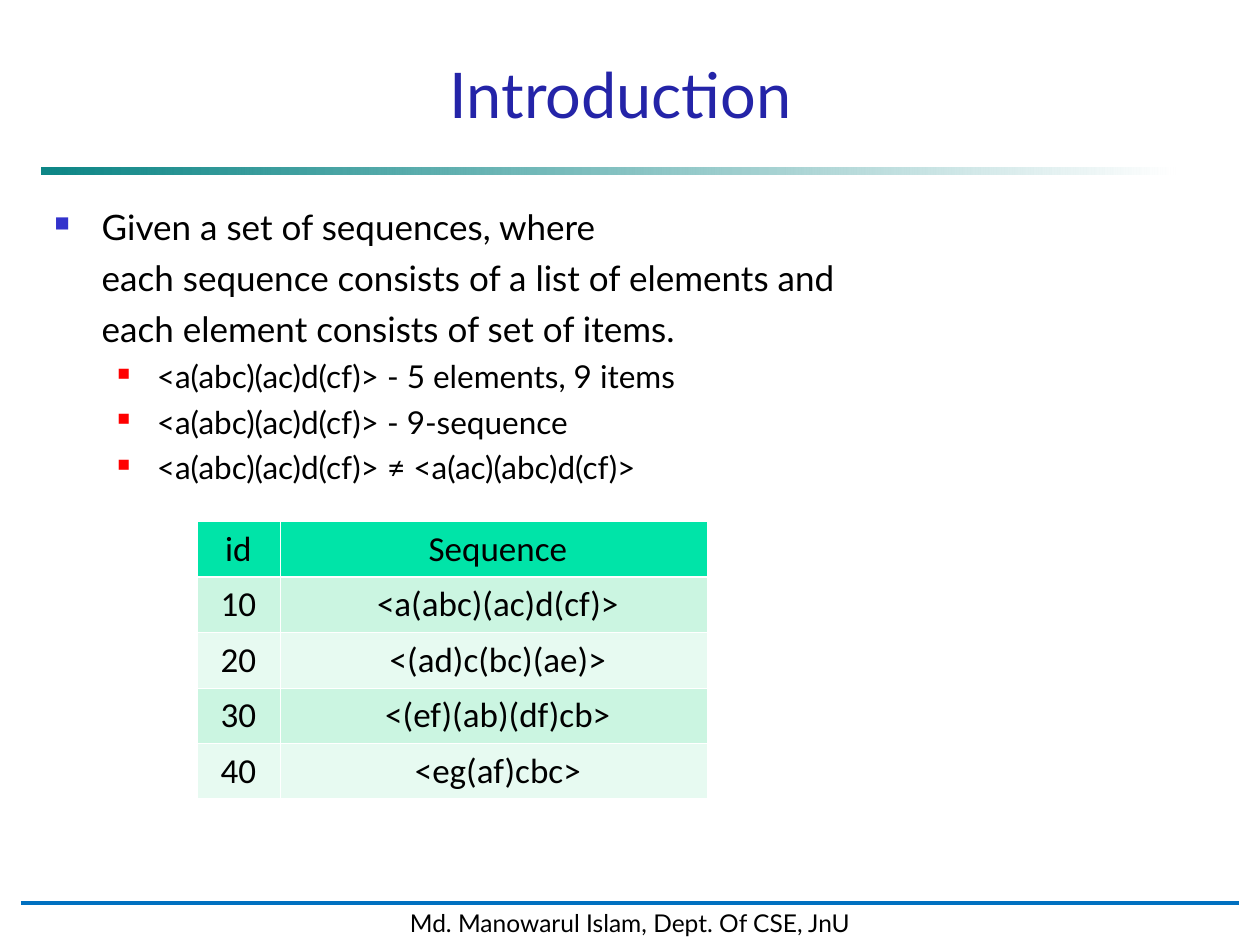
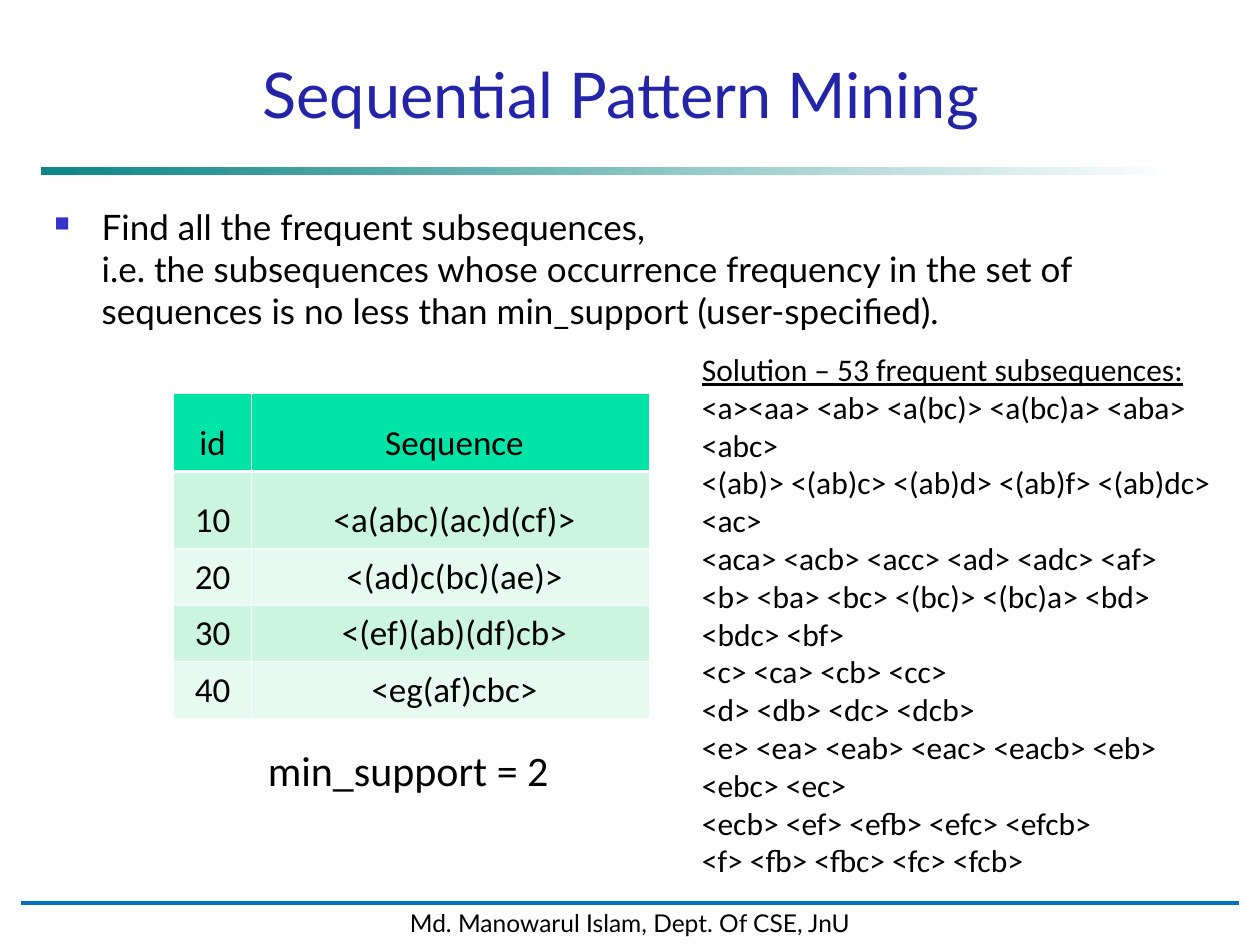
from lxml import etree
from pptx import Presentation
from pptx.dml.color import RGBColor
from pptx.enum.shapes import MSO_CONNECTOR, MSO_SHAPE
from pptx.enum.text import MSO_ANCHOR, PP_ALIGN
from pptx.oxml.ns import qn
from pptx.util import Pt

RECTANGLE = MSO_SHAPE.RECTANGLE
STRAIGHT = MSO_CONNECTOR.STRAIGHT
TOP, MIDDLE, BOTTOM = MSO_ANCHOR.TOP, MSO_ANCHOR.MIDDLE, MSO_ANCHOR.BOTTOM
LEFT, CENTER = PP_ALIGN.LEFT, PP_ALIGN.CENTER

COLOURS = {
    "text": "000000", "title": "2424A8", "teal": "008080", "white": "FFFFFF",
    "footer line": "0070C0", "bullet": "3333CC", "sub-bullet": "FF0000",
    "header": "00E4A8", "odd row": "CBF5E1", "even row": "E7FAF1",
}
HEADING_FONT, TABLE_FONT = "Lato", "Calibri"

# Boxes are left, top, width, height in points.
TITLE_BOX = (48, 30, 613.5, 48.5)
TITLE_RULE_BOX = (24, 95.75, 648, 4)
BODY_BOX = (24, 114, 660, 396)
FOOTER_BOX = (12, 515, 696, 24)
FOOTER_LINE_Y = 516

SEQUENCES = [
    ("id", "Sequence"),
    ("10", "<a(abc)(ac)d(cf)>"),
    ("20", "<(ad)c(bc)(ae)>"),
    ("30", "<(ef)(ab)(df)cb>"),
    ("40", "<eg(af)cbc>"),
]
INTRODUCTION = [
    ("bullet", "Given a set of sequences, where"),
    ("continued", "each sequence consists of a list of elements and"),
    ("continued", "each element consists of set of items."),
    ("sub-bullet", "<a(abc)(ac)d(cf)> - 5 elements, 9 items"),
    ("sub-bullet", "<a(abc)(ac)d(cf)> - 9-sequence"),
    ("sub-bullet", "<a(abc)(ac)d(cf)> ≠ <a(ac)(abc)d(cf)>"),
]
TASK = [
    ("bullet", "Find all the frequent subsequences,\n"
     "i.e. the subsequences whose occurrence frequency in the set of "
     "sequences is no less than min_support (user-specified)."),
]
SOLUTION_HEADING = "Solution – 53 frequent subsequences:"
SOLUTION = [
    "<a><aa> <ab> <a(bc)> <a(bc)a> <aba> <abc>",
    "<(ab)> <(ab)c> <(ab)d> <(ab)f> <(ab)dc> <ac>",
    "<aca> <acb> <acc> <ad> <adc> <af>",
    "<b> <ba> <bc> <(bc)> <(bc)a> <bd> <bdc> <bf>",
    "<c> <ca> <cb> <cc>",
    "<d> <db> <dc> <dcb>",
    "<e> <ea> <eab> <eac> <eacb> <eb> <ebc> <ec>",
    "<ecb> <ef> <efb> <efc> <efcb>",
    "<f> <fb> <fbc> <fc> <fcb>",
]

# Body levels: left margin, first-line indent, space before, text size, bullet size %.
BODY_LEVELS = {
    "bullet": (27, -27, 5, 20, 60),
    "continued": (27, 0, 5, 20, None),
    "sub-bullet": (58.5, -22.5, 4.5, 18, 55),
}


def colour(name):
    return RGBColor.from_string(COLOURS[name])


def points(box):
    return [Pt(length) for length in box]


def add_span(para, text, size, font, colour_name="text", underline=False):
    span = para.add_run()
    span.text = text
    span.font.size = Pt(size)
    span.font.name = font
    span.font.color.rgb = colour(colour_name)
    if underline:
        span.font.underline = True


def next_para(frame, index):
    return frame.paragraphs[0] if index == 0 else frame.add_paragraph()


def add_text_frame(page, box, anchor=TOP):
    frame = page.shapes.add_textbox(*points(box)).text_frame
    frame.word_wrap = True
    frame.vertical_anchor = anchor
    return frame


def add_line_of_text(page, box, text, size, font, colour_name="text", anchor=TOP):
    para = add_text_frame(page, box, anchor).paragraphs[0]
    para.alignment = CENTER
    add_span(para, text, size, font, colour_name)


def add_bar(page, box):
    bar = page.shapes.add_shape(RECTANGLE, *points(box))
    bar.shadow.inherit = False
    return bar


def add_title(page, text):
    rule = add_bar(page, TITLE_RULE_BOX)
    rule.line.fill.background()
    rule.fill.gradient()
    rule.fill.gradient_angle = 0
    for stop, name in zip(rule.fill.gradient_stops, ("teal", "white")):
        stop.color.rgb = colour(name)
    first_colour = rule._element.spPr.find(".//" + qn("a:srgbClr"))
    etree.SubElement(first_colour, qn("a:alpha"), val="95000")
    add_line_of_text(page, TITLE_BOX, text, 36, HEADING_FONT, "title", BOTTOM)


def add_footer(page):
    band = add_bar(page, FOOTER_BOX)
    band.fill.solid()
    band.fill.fore_color.rgb = colour("white")
    band.line.color.rgb = colour("white")
    band.line.width = Pt(2)
    frame = band.text_frame
    frame.word_wrap = False
    frame.vertical_anchor = MIDDLE
    para = frame.paragraphs[0]
    para.alignment = CENTER
    add_span(para, "Md. Manowarul Islam, Dept. Of CSE, JnU", 14, HEADING_FONT)

    left, _, width, _ = FOOTER_BOX
    line = page.shapes.add_connector(
        STRAIGHT, *points((left, FOOTER_LINE_Y, left + width, FOOTER_LINE_Y)))
    line.line.color.rgb = colour("footer line")
    line.line.width = Pt(1.75)
    etree.SubElement(line._element.spPr, qn("a:effectLst"))


def add_page(deck, title):
    page = deck.slides.add_slide(deck.slide_layouts[6])
    add_title(page, title)
    add_footer(page)
    return page


def set_bullet(para, level):
    margin, indent, _, _, percent = BODY_LEVELS[level]
    properties = para._p.get_or_add_pPr()
    properties.set("marL", str(Pt(margin)))
    properties.set("indent", str(Pt(indent)))
    if percent is None:
        etree.SubElement(properties, qn("a:buNone"))
        return
    bullet_colour = etree.SubElement(properties, qn("a:buClr"))
    etree.SubElement(bullet_colour, qn("a:srgbClr"), val=COLOURS[level])
    etree.SubElement(properties, qn("a:buSzPct"), val=str(percent * 1000))
    etree.SubElement(properties, qn("a:buChar"), char="■")


def add_body(page, box, items):
    frame = add_text_frame(page, box)
    for index, (level, text) in enumerate(items):
        para = next_para(frame, index)
        set_bullet(para, level)
        _, _, space, size, _ = BODY_LEVELS[level]
        if index:
            para.space_before = Pt(space)
        for line_index, line in enumerate(text.split("\n")):
            if line_index:
                para.add_line_break()
            add_span(para, line, size, HEADING_FONT)


def set_borders(cell, widths):
    """Draw white cell borders; widths maps L, R, T and B to points."""
    properties = cell._tc.get_or_add_tcPr()
    for side, width in widths.items():
        border = etree.SubElement(properties, qn("a:ln" + side), w=str(Pt(width)))
        fill = etree.SubElement(border, qn("a:solidFill"))
        etree.SubElement(fill, qn("a:srgbClr"), val=COLOURS["white"])


def add_sequence_table(page, left, top, column_widths, row_heights):
    box = (left, top, sum(column_widths), sum(row_heights))
    table = page.shapes.add_table(
        len(SEQUENCES), len(column_widths), *points(box)).table
    for column, width in zip(table.columns, column_widths):
        column.width = Pt(width)
    for row, height in zip(table.rows, row_heights):
        row.height = Pt(height)
    for r, values in enumerate(SEQUENCES):
        fill_name = "header" if r == 0 else "odd row" if r % 2 else "even row"
        for c, value in enumerate(values):
            cell = table.cell(r, c)
            set_borders(cell, {"L": 0.45, "R": 0.45,
                               "T": 1.47 if r == 1 else 0.45,
                               "B": 1.47 if r == 0 else 0.45})
            cell.fill.solid()
            cell.fill.fore_color.rgb = colour(fill_name)
            cell.margin_left = Pt(5.2 if c else 0.7)
            cell.margin_right = Pt(0.7)
            cell.margin_top = cell.margin_bottom = Pt(3.6)
            cell.vertical_anchor = BOTTOM
            para = cell.text_frame.paragraphs[0]
            para.alignment = CENTER
            add_span(para, value, 20, TABLE_FONT)


def add_solution(page, box):
    frame = add_text_frame(page, box)
    for index, text in enumerate([SOLUTION_HEADING, *SOLUTION]):
        para = next_para(frame, index)
        para.alignment = LEFT
        add_span(para, text, 18, TABLE_FONT, underline=index == 0)


def build_introduction(deck):
    page = add_page(deck, "Introduction")
    add_body(page, BODY_BOX, INTRODUCTION)
    add_sequence_table(page, 112.5, 298, (47.5, 244.5), [31.7] * 5)


def build_pattern_mining(deck):
    page = add_page(deck, "Sequential Pattern Mining")
    add_body(page, BODY_BOX, TASK)
    add_sequence_table(page, 99.25, 225, (44.5, 227.5), [44.5, 44] + [32.3] * 3)
    add_solution(page, (394, 196.5, 314.5, 331))
    add_line_of_text(page, (106.5, 422, 253.5, 36), "min_support = 2", 24, TABLE_FONT)


def main():
    deck = Presentation()
    deck.slide_width, deck.slide_height = Pt(720), Pt(540)
    build_introduction(deck)
    build_pattern_mining(deck)
    deck.save("out.pptx")


if __name__ == "__main__":
    main()
